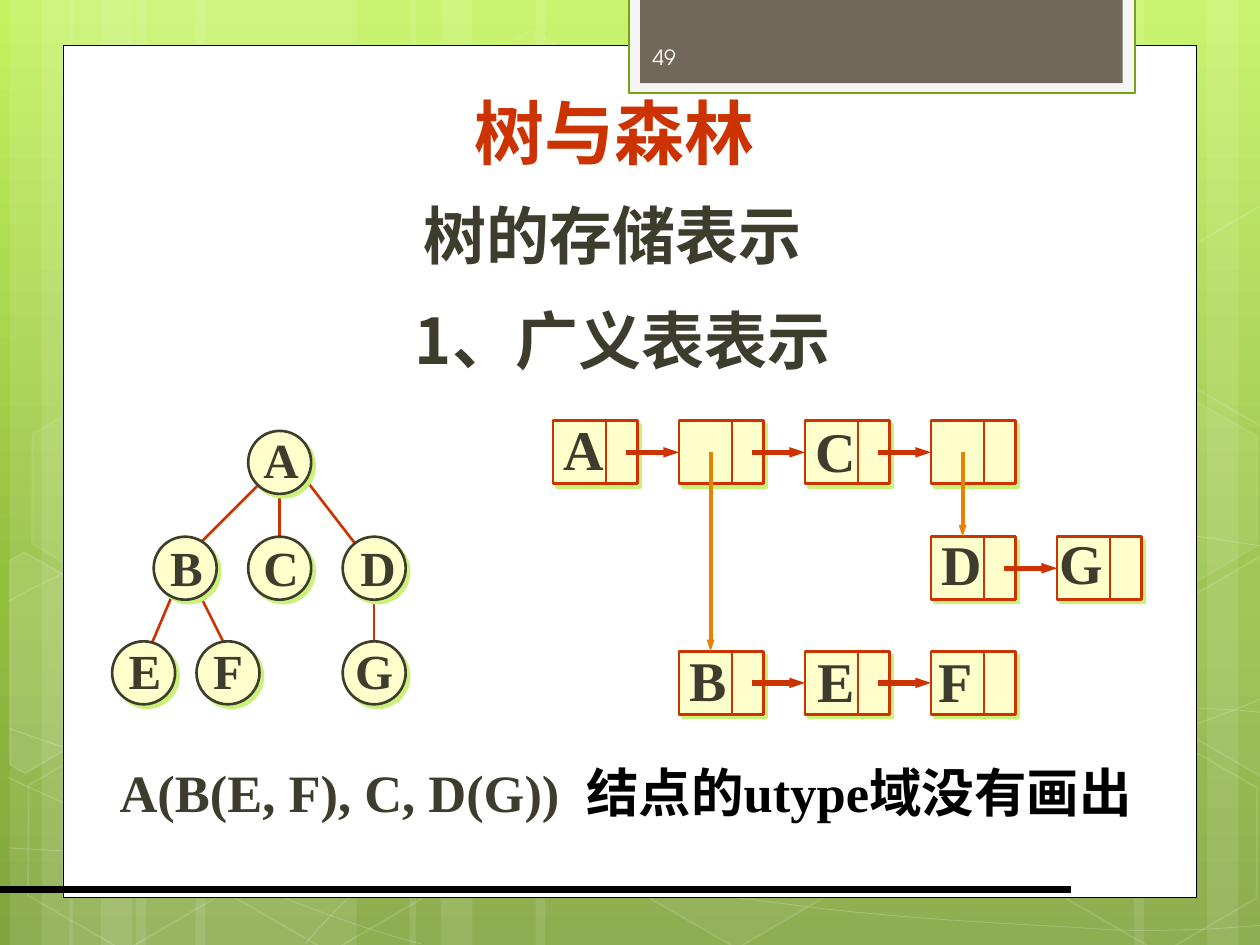
from lxml import etree
from pptx import Presentation
from pptx.dml.color import RGBColor
from pptx.enum.shapes import MSO_CONNECTOR, MSO_SHAPE
from pptx.enum.text import MSO_ANCHOR, MSO_AUTO_SIZE, PP_ALIGN
from pptx.oxml.ns import qn
from pptx.util import Inches, Pt

RECTANGLE, OVAL, HEXAGON = MSO_SHAPE.RECTANGLE, MSO_SHAPE.OVAL, MSO_SHAPE.HEXAGON
STRAIGHT = MSO_CONNECTOR.STRAIGHT
TOP, MIDDLE, BOTTOM = MSO_ANCHOR.TOP, MSO_ANCHOR.MIDDLE, MSO_ANCHOR.BOTTOM
CENTER, LEFT = PP_ALIGN.CENTER, PP_ALIGN.LEFT

WIDTH, HEIGHT = 10, 7.5
CJK, SERIF, SANS = "Noto Sans CJK JP", "Times New Roman", "TeX Gyre Adventor"
COLORS = {
    "white": "FFFFFF", "black": "000000", "red": "CC3300", "orange": "E68200",
    "ink": "3E3D2D", "node": "FFFFCC", "shadow": "CAF278", "tab": "F5F5F5",
    "tab_line": "74A510", "tab_core": "71685A", "number": "FEFEFE",
}
GRADIENT = [(0, "C3F35F"), (62, "93BF3F"), (100, "81A53E")]

BANDS = [(1.08, 1.75), (0.08, 0.5), (0.33, 0.83), (1.55, 1.75), (0.55, 0.5), (0.8, 0.83),
         (7.33, 1.75), (9.58, 0.5), (9, 0.83), (4.25, 3.08), (3.25, 0.5), (3.5, 0.83)]
CURVES = [
    [(0.07, 6.73), (0.61, 6.76), (1.15, 6.79), (1.9, 6.78), (2.65, 6.77), (3.58, 6.75),
     (4.58, 6.65), (5.58, 6.55), (7, 6.36), (7.92, 6.17), (8.83, 5.98), (9.77, 5.68), (10.07, 5.51)],
    [(0.07, 4.77), (0.36, 4.61), (0.65, 4.46), (1.21, 4.31), (1.78, 4.16), (2.59, 3.94),
     (3.47, 3.87), (4.36, 3.8), (5.44, 3.79), (6.54, 3.87), (7.64, 3.95), (9.47, 4.26), (10.07, 4.34)],
    [(0.06, 6.17), (1.27, 6.72), (2.47, 7.27), (3.34, 7.49)],
    [(0.07, 5.78), (0.38, 5.89), (0.7, 6), (1.28, 6.16), (1.86, 6.31), (2.73, 6.56), (3.57, 6.73),
     (4.4, 6.9), (5.45, 7.08), (6.28, 7.18), (7.11, 7.29), (8, 7.33), (8.53, 7.36),
     (9.05, 7.4), (9.19, 7.38), (9.45, 7.38), (9.71, 7.37), (9.89, 7.35), (10.07, 7.34)],
    [(2.42, 7.49), (2.6, 7.29), (2.78, 7.09), (3.02, 6.91), (3.26, 6.73), (3.6, 6.53), (3.88, 6.39),
     (4.16, 6.25), (4.33, 6.19), (4.7, 6.09), (5.06, 5.99), (5.73, 5.85), (6.08, 5.78),
     (6.44, 5.71), (6.49, 5.71), (6.8, 5.69), (7.11, 5.66), (7.6, 5.63), (7.94, 5.62),
     (8.29, 5.61), (8.86, 5.62), (8.86, 5.62), (9.08, 5.62), (9.31, 5.62), (9.53, 5.62),
     (9.71, 5.63), (9.88, 5.64), (9.97, 5.65), (10.06, 5.66), (10.03, 5.65), (10.06, 5.66)],
]
HEXAGONS = [(3.34, 0.36, 4, 8), (4.97, 5.89, 6, 12), (0.11, 5.91, 0, 12), (0.14, 3.12, 7, 8),
            (1.74, 5.92, 0, 12), (8.34, 5.93, 0, 12), (8.34, 3.14, 7, 8)]
CUT_HEXAGONS = [
    ([(0.08, 4.45), (0.19, 4.38), (0.96, 4.82), (0.95, 5.7), (0.2, 6.14), (0.08, 6.07)], 10),
    ([(9.26, 4.85), (10.01, 4.41), (10.09, 4.46), (10.09, 6.13), (10.02, 6.17), (9.26, 5.73)], 4),
    ([(9.26, 2.07), (10.01, 1.63), (10.1, 1.68), (10.09, 3.35), (10.02, 3.39), (9.26, 2.95)], 0),
]
PANELS = [((0.5, 0.36, 9, 6.76), "white", "black", 0.5),
          ((4.99, -0.02, 4.02, 0.76), "tab", "tab_line", 1.25),
          ((5.08, -0.02, 3.83, 0.68), "tab_core", None, 0)]

LETTER_WIDTHS = {"A": 0.72, "B": 0.67, "C": 0.72, "D": 0.72, "E": 0.67, "F": 0.61, "G": 0.78}
TREE_ROWS, NODE = [3.42, 4.26, 5.09], 0.5
TREE_NODES = [("A", 1.97, 0, 0.26, 0.22), ("C", 1.97, 1, 0.26, 0.24), ("F", 1.56, 2, 0.25, 0.23),
              ("E", 0.89, 2, 0.26, 0.23), ("B", 1.22, 1, 0.26, 0.24), ("D", 2.72, 1, 0.28, 0.24),
              ("G", 2.72, 2, 0.25, 0.23)]
TREE_EDGES = [(2.97, 4.67, 2.97, 5.26), (2.39, 3.76, 2.97, 4.51), (1.56, 4.67, 1.81, 5.17),
              (1.39, 4.67, 1.14, 5.26), (2.06, 3.84, 1.56, 4.34), (2.22, 3.84, 2.22, 4.34)]

LIST_LEFT, LIST_ROWS = 4.39, [3.34, 4.26, 5.17]
CELL_WIDTH, CELL_HEIGHT, DIVIDER = 0.67, 0.5, 0.42
LIST_CELLS = [("A", 0, 0, 0.24, 0.22), ("", 1, 0, 0, 0), ("C", 2, 0, 0.24, 0.23), ("", 3, 0, 0, 0),
              ("D", 3, 1, 0.24, 0.21), ("G", 4, 1, 0.19, 0.2),
              ("B", 1, 2, 0.23, 0.22), ("E", 2, 2, 0.25, 0.23), ("F", 3, 2, 0.19, 0.23)]
NEXT_LINKS = [(0, 0), (1, 0), (2, 0), (3, 1), (1, 2), (2, 2)]
CHILD_LINKS = [(1, 2), (3, 1)]

HEADINGS = [((1.61, 1.51, 6.5, 0.7), "树的存储表示"), ((1.69, 2.34, 6.5, 0.7), "1、广义表表示")]
FORMULA = [("A(B(E, F), C, D(G))", "ink", 0), (" ", "ink", 750), ("结点的utype域没有画出", "black", 0)]


def rgb(name):
    return RGBColor.from_string(COLORS[name])


def set_alpha(fill_parent, percent):
    color = fill_parent.find(qn("a:solidFill"))[0]
    etree.SubElement(color, qn("a:alpha")).set("val", str(percent * 1000))


def paint(shape, fill, line=None, weight=0, fill_alpha=100, line_alpha=100):
    shape.shadow.inherit = False
    if fill and fill_alpha:
        shape.fill.solid()
        shape.fill.fore_color.rgb = rgb(fill)
        if fill_alpha < 100:
            set_alpha(shape.element.spPr, fill_alpha)
    else:
        shape.fill.background()
    if not line:
        shape.line.fill.background()
        return
    shape.line.color.rgb = rgb(line)
    shape.line.width = Pt(weight)
    if line_alpha < 100:
        set_alpha(shape.element.spPr.find(qn("a:ln")), line_alpha)


def add_box(kind, box, *style, **alphas):
    shape = slide.shapes.add_shape(kind, *map(Inches, box))
    paint(shape, *style, **alphas)
    return shape


def add_outline(points, close):
    points = [(Inches(x), Inches(y)) for x, y in points]
    builder = slide.shapes.build_freeform(*points[0])
    builder.add_line_segments(points[1:], close=close)
    return builder.convert_to_shape()


def add_curve(points):
    shape = add_outline(points, False)
    outline = shape.element.find(".//" + qn("a:path"))
    segments = outline.findall(qn("a:lnTo"))
    for start in range(0, len(segments), 3):
        curve = etree.SubElement(outline, qn("a:cubicBezTo"))
        for segment in segments[start:start + 3]:
            curve.append(segment[0])
            outline.remove(segment)
    return shape


def add_line(ends, color, weight, arrow=False):
    line = slide.shapes.add_connector(STRAIGHT, *map(Inches, ends))
    line.line.color.rgb = rgb(color)
    line.line.width = Pt(weight)
    properties = line.element.spPr
    etree.SubElement(properties, qn("a:effectLst"))
    if arrow:
        head = etree.SubElement(properties.find(qn("a:ln")), qn("a:tailEnd"))
        for key, value in {"type": "triangle", "w": "sm", "len": "med"}.items():
            head.set(key, value)


def add_shadow(shape):
    effects = shape.element.spPr.find(qn("a:effectLst"))
    shadow = etree.SubElement(effects, qn("a:outerShdw"))
    for key, value in {"blurRad": "0", "dist": str(Pt(2.8)), "dir": "2700000"}.items():
        shadow.set(key, value)
    etree.SubElement(shadow, qn("a:srgbClr")).set("val", COLORS["shadow"])


def write(shape, runs, size, font, bold=True, align=CENTER, anchor=TOP, wrap=True):
    frame = shape.text_frame
    settings = {"word_wrap": wrap, "vertical_anchor": anchor, "auto_size": MSO_AUTO_SIZE.NONE}
    for key, value in settings.items():
        setattr(frame, key, value)
    paragraph = frame.paragraphs[0]
    paragraph.alignment = align
    for text, color, spacing in runs:
        run = paragraph.add_run()
        run.text = text
        for key, value in {"size": Pt(size), "name": font, "bold": bold}.items():
            setattr(run.font, key, value)
        run.font.color.rgb = rgb(color)
        properties = run._r.get_or_add_rPr()
        etree.SubElement(properties, qn("a:ea")).set("typeface", CJK)
        if spacing:
            properties.set("spc", str(spacing))


def add_text(box, runs, size, font, **options):
    write(slide.shapes.add_textbox(*map(Inches, box)), runs, size, font, **options)


def add_letter(letter, x, y, size, height):
    width = 0.2 + LETTER_WIDTHS[letter] * size / 72
    box = (x - width / 2, y - height / 2, width, height)
    add_text(box, [(letter, "ink", 0)], size, SERIF, anchor=MIDDLE, wrap=False)


presentation = Presentation()
presentation.slide_width, presentation.slide_height = Inches(WIDTH), Inches(HEIGHT)
slide = presentation.slides.add_slide(presentation.slide_layouts[5])

background = slide.background.fill
background.gradient()
background.gradient_angle = 270
stops = slide.element.find(".//" + qn("a:gsLst"))
for stop in list(stops):
    stops.remove(stop)
for position, color in GRADIENT:
    stop = etree.SubElement(stops, qn("a:gs"))
    stop.set("pos", str(position * 1000))
    etree.SubElement(stop, qn("a:srgbClr")).set("val", color)

for left, width in BANDS:
    add_box(RECTANGLE, (left, 0, width, HEIGHT), "white", fill_alpha=10)
for curve in CURVES:
    paint(add_curve(curve), None, "white", 0.5, line_alpha=20)
for left, top, fill_alpha, line_alpha in HEXAGONS:
    hexagon = add_box(HEXAGON, (left, top, 1.75, 1.52), "white", "white", 1,
                      fill_alpha=fill_alpha, line_alpha=line_alpha)
    hexagon.rotation = 30
    hexagon.adjustments[0] = 0.285
for points, fill_alpha in CUT_HEXAGONS:
    paint(add_outline(points, True), "white", "white", 1, fill_alpha, 12)
for box, *style in PANELS:
    add_box(RECTANGLE, box, *style)
add_line((0, 7.06, 8.5, 7.06), "black", 4.5)

title = slide.shapes.title
slide.shapes._spTree.append(title.element)
for key, value in zip(("left", "top", "width", "height"), (2.91, 0.52, 3.94, 0.91)):
    setattr(title, key, Inches(value))
write(title, [("树与森林", "red", 0)], 40, SANS, anchor=BOTTOM)
add_text((5.08, 0.25, 1.46, 0.4), [("49", "number", 0)], 12, SANS,
         bold=False, align=LEFT, anchor=MIDDLE)
for box, text in HEADINGS:
    add_text(box, [(text, "ink", 0)], 36, CJK)
add_text((0.59, 5.98, 8.75, 0.6), FORMULA, 30, SERIF)

for edge in TREE_EDGES:
    add_line(edge, "red", 1.5)
for letter, left, row, dx, dy in TREE_NODES:
    top = TREE_ROWS[row]
    add_shadow(add_box(OVAL, (left, top, NODE, NODE), "node", "ink", 1.5))
    add_letter(letter, left + dx, top + dy, 28, 0.57)

for letter, column, row, dx, dy in LIST_CELLS:
    left, top = LIST_LEFT + column, LIST_ROWS[row]
    add_shadow(add_box(RECTANGLE, (left, top, CELL_WIDTH, CELL_HEIGHT), "node", "red", 1.5))
    add_line((left + DIVIDER, top, left + DIVIDER, top + CELL_HEIGHT), "red", 1.5)
    if letter:
        add_letter(letter, left + dx, top + dy, 32, 0.63)
for column, row in NEXT_LINKS:
    left, y = LIST_LEFT + column, LIST_ROWS[row] + CELL_HEIGHT / 2
    add_line((left + 0.58, y, left + 1, y), "red", 3, arrow=True)
for column, row in CHILD_LINKS:
    x = LIST_LEFT + column + 0.25
    add_line((x, LIST_ROWS[0] + CELL_HEIGHT / 2, x, LIST_ROWS[row]), "orange", 2.25, arrow=True)

presentation.save("out.pptx")
